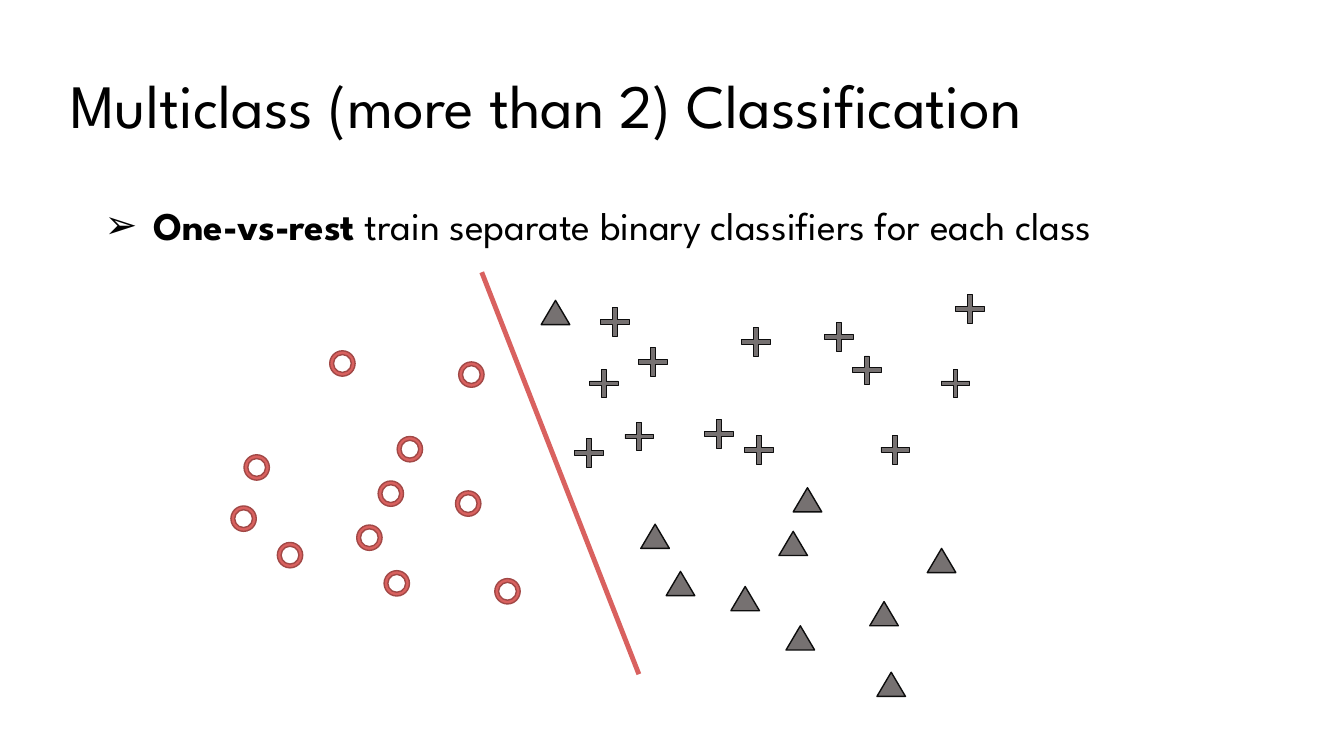
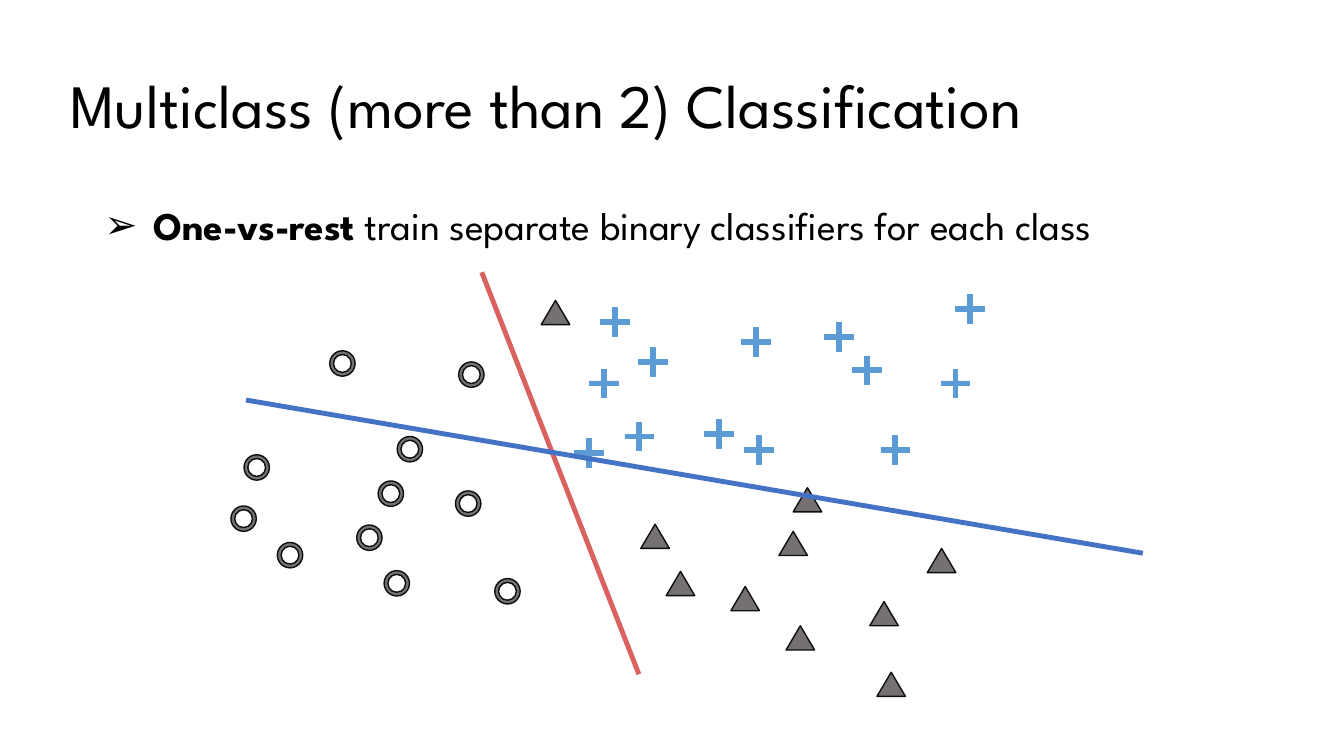
from lxml import etree
from pptx import Presentation
from pptx.dml.color import RGBColor
from pptx.enum.shapes import MSO_CONNECTOR, MSO_SHAPE
from pptx.enum.text import MSO_ANCHOR
from pptx.oxml.ns import qn
from pptx.util import Cm, Pt

DONUT, PLUS, TRIANGLE = MSO_SHAPE.DONUT, MSO_SHAPE.CROSS, MSO_SHAPE.ISOSCELES_TRIANGLE
STRAIGHT = MSO_CONNECTOR.STRAIGHT
TOP, MIDDLE = MSO_ANCHOR.TOP, MSO_ANCHOR.MIDDLE

# Colours: (fill, outline) for markers
BLACK, RED, BLUE = "000000", "D9615F", "4472C4"
GREY_MARK = ("767171", "0D0D0D")
RED_MARK = (RED, "A14846")
BLUE_MARK = ("5B9BD5", "5B9BD5")

# Marker style: shape, width, height, adjustment, outline width
CIRCLE_STYLE = (DONUT, 0.64, 0.64, 0.149, 1)
PLUS_STYLE = (PLUS, 0.72, 0.72, 0.417, 0.5)
TRIANGLE_STYLE = (TRIANGLE, 0.72, 0.61, None, 1)

# Data points: left and top in cm
CIRCLES = [
    (8.99, 13.23), (9.68, 14.38), (6.99, 13.67), (9.53, 12.12),
    (6.15, 11.46), (5.82, 12.75), (10.01, 11), (12.47, 14.58),
    (11.48, 12.37), (11.56, 9.12), (8.31, 8.84),
]
PLUSES = [
    (16.1, 8.76), (17.75, 10.57), (14.86, 9.3), (18.69, 8.26),
    (15.14, 7.75), (15.75, 10.64), (14.48, 11.05), (20.78, 8.13),
    (21.49, 8.97), (18.77, 10.97), (23.72, 9.3), (22.2, 10.97),
    (24.08, 7.42),
]
TRIANGLES = [
    (22.1, 16.94), (19.63, 13.39), (16.79, 14.4), (16.15, 13.21),
    (18.42, 14.78), (21.92, 15.16), (19.81, 15.77), (19.99, 12.29),
    (13.64, 7.57), (23.37, 13.82),
]

# Decision boundaries: start x, y, end x, y and colour
RED_BOUNDARY = (12.14, 6.86, 16.1, 16.99, RED)
BLUE_BOUNDARY = (6.2, 10.08, 28.8, 13.94, BLUE)


def rgb(value):
    return RGBColor.from_string(value)


class Deck:
    font = "League Spartan"

    def __init__(self):
        self.prs = Presentation()
        self.prs.slide_width, self.prs.slide_height = Cm(33.87), Cm(19.05)
        self.s = None

    def new_slide(self):
        self.s = self.prs.slides.add_slide(self.prs.slide_layouts[6])

    def text(self, box, runs, size, anchor=TOP, bullet=None):
        """Add one paragraph; runs are (text, bold) pairs."""
        tf = self.s.shapes.add_textbox(*map(Cm, box)).text_frame
        tf.word_wrap = True
        tf.vertical_anchor = anchor
        p = tf.paragraphs[0]
        if bullet:
            self.bullet(p, bullet)
        p.line_spacing = 0.9
        for content, bold in runs:
            r = p.add_run()
            r.text = content
            r.font.name, r.font.size, r.font.bold = self.font, Pt(size), bold
            r.font.color.rgb = rgb(BLACK)

    def bullet(self, p, char):
        pPr = p._p.get_or_add_pPr()
        pPr.set("marL", str(Cm(1.27)))
        pPr.set("indent", str(Cm(-1.22)))
        colour = etree.SubElement(pPr, qn("a:buClr"))
        etree.SubElement(colour, qn("a:srgbClr"), val=BLACK)
        etree.SubElement(pPr, qn("a:buFont"), typeface="Arial")
        etree.SubElement(pPr, qn("a:buChar"), char=char)

    def markers(self, points, style, colours):
        shape, width, height, adjustment, line_width = style
        fill, outline = colours
        for left, top in points:
            sp = self.s.shapes.add_shape(shape, Cm(left), Cm(top), Cm(width), Cm(height))
            sp.shadow.inherit = False
            if adjustment is not None:
                sp.adjustments[0] = adjustment
            sp.fill.solid()
            sp.fill.fore_color.rgb = rgb(fill)
            sp.line.color.rgb = rgb(outline)
            sp.line.width = Pt(line_width)

    def boundary(self, x1, y1, x2, y2, colour):
        line = self.s.shapes.add_connector(STRAIGHT, Cm(x1), Cm(y1), Cm(x2), Cm(y2))
        line.line.color.rgb = rgb(colour)
        line.line.width = Pt(3.5)
        etree.SubElement(line._element.spPr, qn("a:effectLst"))

    def scatter_slide(self, circle_colours, plus_colours, boundaries):
        self.new_slide()
        # Title and statement
        self.text((1.52, 0.89, 30, 3.68),
                  [("Multiclass (more than 2) Classification", False)], 44, MIDDLE)
        self.text((2.34, 5.08, 29.21, 2.13),
                  [("One-vs-rest", True),
                   (" train separate binary classifiers for each class", False)],
                  28, bullet="➢")
        # Three classes and the boundaries between them
        self.markers(CIRCLES, CIRCLE_STYLE, circle_colours)
        self.markers(PLUSES, PLUS_STYLE, plus_colours)
        self.markers(TRIANGLES, TRIANGLE_STYLE, GREY_MARK)
        for boundary in boundaries:
            self.boundary(*boundary)


def main():
    deck = Deck()
    # Circles against the rest
    deck.scatter_slide(RED_MARK, GREY_MARK, [RED_BOUNDARY])
    # Pluses against the rest
    deck.scatter_slide(GREY_MARK, BLUE_MARK, [RED_BOUNDARY, BLUE_BOUNDARY])
    deck.prs.save("out.pptx")


if __name__ == "__main__":
    main()
